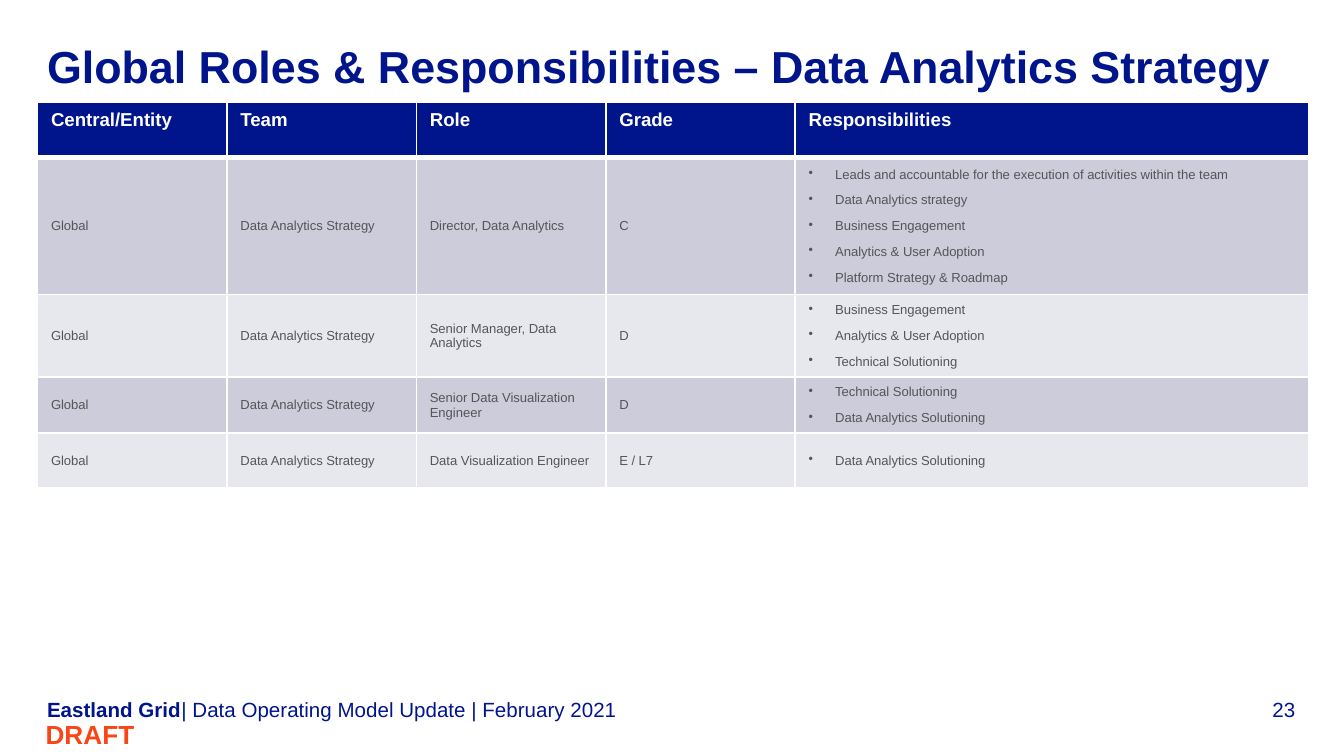
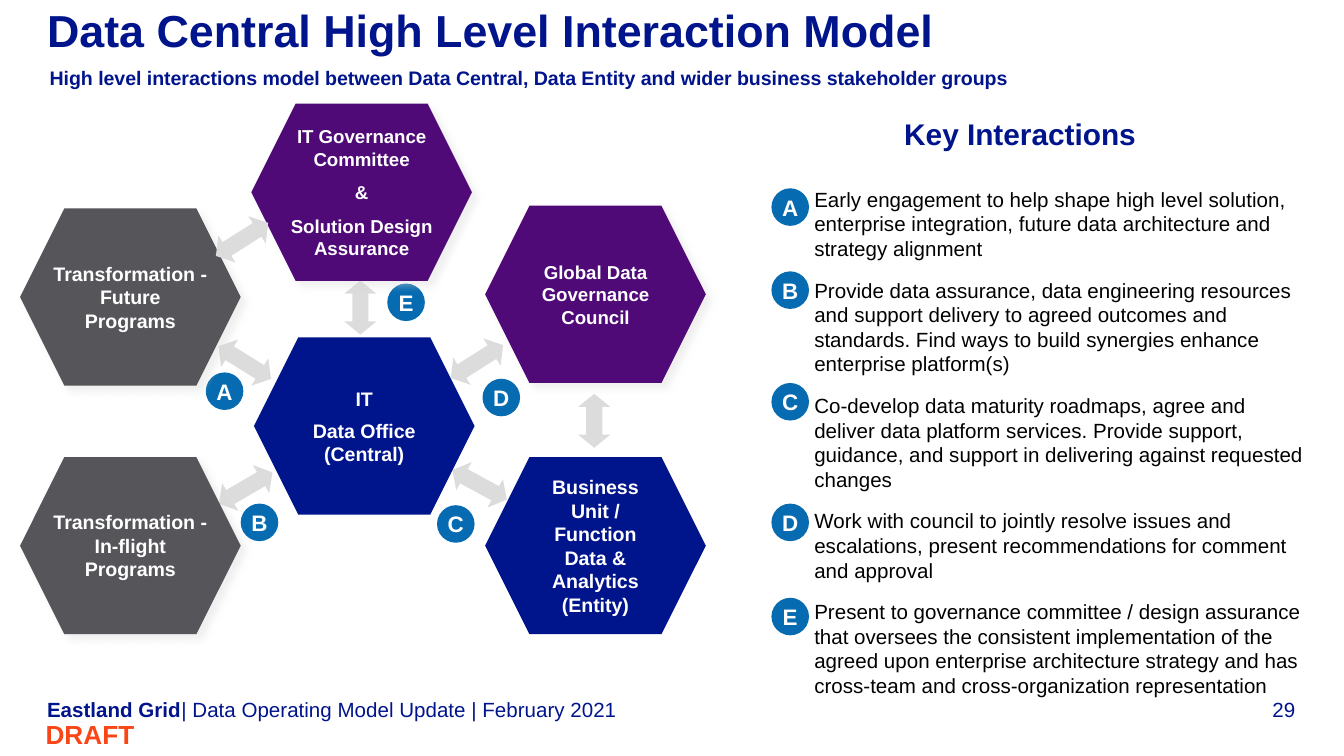
from lxml.etree import SubElement
from pptx import Presentation
from pptx.dml.color import RGBColor
from pptx.enum.shapes import MSO_SHAPE as Preset
from pptx.enum.text import MSO_ANCHOR as Anchor, PP_ALIGN as Align
from pptx.oxml.ns import qn
from pptx.util import Cm, Pt

COLOURS = {
    "navy": "00148C", "purple": "500A78", "grey": "55555A", "badge": "066BB0",
    "arrow": "DCDCDC", "draft": "FA4616", "band_dark": "CCCCDA",
    "band_light": "E7E7EE", "white": "FFFFFF", "black": "000000", "shadow": "D9D9D9",
}
FONT = "Arial"
INSETS = (0.25, 0.13, 0.25, 0.13)
NO_INSETS = (0, 0, 0, 0)

COMPANY = "Eastland Grid"
FOOTER = "| Data Operating Model Update | February 2021"
DRAFT = "DRAFT"

ROLES_TITLE = "Global Roles & Responsibilities – Data Analytics Strategy"
ROLES_HEADER = ["Central/Entity", "Team", "Role", "Grade", "Responsibilities"]
TEAM = ("Global", "Data Analytics Strategy")
ROLES = [
    ("Director, Data Analytics", "C", [
        "Leads and accountable for the execution of activities within the team",
        "Data Analytics strategy", "Business Engagement",
        "Analytics & User Adoption", "Platform Strategy & Roadmap"]),
    ("Senior Manager, Data Analytics", "D", [
        "Business Engagement", "Analytics & User Adoption", "Technical Solutioning"]),
    ("Senior Data Visualization Engineer", "D", [
        "Technical Solutioning", "Data Analytics Solutioning"]),
    ("Data Visualization Engineer", "E / L7", ["Data Analytics Solutioning"]),
]
ROLE_COLUMNS = [3.58, 3.58, 3.58, 3.58, 9.7]
ROLE_ROW = 1.04

MODEL_TITLE = "Data Central High Level Interaction Model"
MODEL_SUBTITLE = ("High level interactions model between Data Central, Data Entity "
                  "and wider business stakeholder groups")
KEY_HEADING = "Key Interactions"
INTERACTIONS = [
    ("A", 3.56, "Early engagement to help shape high level solution, enterprise "
     "integration, future data architecture and strategy alignment"),
    ("B", 5.13, "Provide data assurance, data engineering resources and support delivery "
     "to agreed outcomes and standards. Find ways to build synergies enhance "
     "enterprise platform(s)"),
    ("C", 7.24, "Co-develop data maturity roadmaps, agree and deliver data platform "
     "services. Provide support, guidance, and support in delivering against "
     "requested changes"),
    ("D", 9.52, "Work with council to jointly resolve issues and escalations, present "
     "recommendations for comment and approval"),
    ("E", 11.3, "Present to governance committee / design assurance that oversees the "
     "consistent implementation of the agreed upon enterprise architecture strategy "
     "and has cross-team and cross-organization representation"),
]
KEY_BADGE_LEFT = 14.58
MODEL_BADGES = [("A", 3.89, 7.04), ("B", 4.55, 9.52), ("C", 8.26, 9.55),
                ("D", 9.12, 7.16), ("E", 7.32, 5.36)]
BADGE = 0.71

GROUPS = [
    (4.8, 6.38, "navy", 10.5, ["IT", "Data Office (Central)"]),
    (9.17, 8.64, "navy", 10.5, ["Business Unit / Function Data & Analytics (Entity)"]),
    (0.38, 8.64, "grey", 10.5, ["Transformation - In-flight Programs"]),
    (0.38, 3.94, "grey", 10.5, ["Transformation - Future Programs"]),
    (4.75, 1.96, "purple", 10, ["IT Governance Committee", "&",
                                "Solution Design Assurance"]),
    (9.17, 3.89, "purple", 10, ["Global Data Governance Council"]),
]
GROUP_SIZE = (4.17, 3.35)

LONG, SHORT, ARROW_HEIGHT = 1.17, 1.02, 0.61
ARROWS_BEHIND = [(8.48, 8.86, LONG, 28.6), (6.3, 5.51, SHORT, 90),
                 (4.04, 6.55, LONG, 31.9), (4.06, 8.92, LONG, 329.7)]
ARROWS_FRONT = [(10.72, 7.65, SHORT, 90), (8.43, 6.53, LONG, 327.6),
                (3.99, 4.22, LONG, 327.6)]


def colour(name):
    return RGBColor.from_string(COLOURS[name])


def write(frame, paragraphs, size, ink="navy", bold=False, align=None, after=0, before=0):
    for index, text in enumerate(paragraphs):
        paragraph = frame.paragraphs[0] if index == 0 else frame.add_paragraph()
        paragraph.alignment = align
        paragraph.space_after = Pt(after)
        if index and before:
            paragraph.space_before = Pt(before)
        run = paragraph.add_run()
        run.text = text
        run.font.name, run.font.size, run.font.bold = FONT, Pt(size), bold
        run.font.color.rgb = colour(ink)


def set_frame(frame, insets, anchor, wrap=True):
    frame.word_wrap = wrap
    frame.vertical_anchor = anchor
    (frame.margin_left, frame.margin_top,
     frame.margin_right, frame.margin_bottom) = map(Cm, insets)


def add_text(slide, box, paragraphs, size, insets=NO_INSETS, anchor=Anchor.TOP, **style):
    frame = slide.shapes.add_textbox(*map(Cm, box)).text_frame
    set_frame(frame, insets, anchor)
    write(frame, paragraphs, size, **style)


def add_preset(slide, preset, box, fill):
    shape = slide.shapes.add_shape(preset, *map(Cm, box))
    shape.shadow.inherit = False
    shape.fill.solid()
    shape.fill.fore_color.rgb = colour(fill)
    shape.line.fill.background()
    return shape


def add_badge(slide, letter, left, top):
    frame = add_preset(slide, Preset.OVAL, (left, top, BADGE, BADGE), "badge").text_frame
    set_frame(frame, NO_INSETS, Anchor.MIDDLE, wrap=False)
    write(frame, [letter], 12, "white", True, Align.CENTER)


def add_arrows(slide, arrows):
    for left, top, length, angle in arrows:
        arrow = add_preset(slide, Preset.LEFT_RIGHT_ARROW,
                           (left, top, length, ARROW_HEIGHT), "arrow")
        arrow.adjustments[0], arrow.adjustments[1] = 0.5, 0.407
        arrow.rotation = angle


def cast_shadow(shape):
    effects = shape._element.spPr.find(qn("a:effectLst"))
    shadow = SubElement(effects, qn("a:outerShdw"), blurRad=str(Pt(4)), dist=str(Pt(4)),
                        dir=str(45 * 60000), algn="tl", rotWithShape="0")
    tint = SubElement(shadow, qn("a:srgbClr"), val=COLOURS["shadow"])
    SubElement(tint, qn("a:alpha"), val="40000")


def add_group(slide, left, top, fill, size, paragraphs):
    hexagon = add_preset(slide, Preset.HEXAGON, (left, top, *GROUP_SIZE), fill)
    central = fill == "navy"
    if not central:
        cast_shadow(hexagon)
    set_frame(hexagon.text_frame, INSETS if central else NO_INSETS, Anchor.MIDDLE)
    write(hexagon.text_frame, paragraphs, size, "white", True, Align.CENTER,
          after=4.5 if central else 6)


def add_bullets(frame):
    for paragraph in frame.paragraphs:
        paragraph.level = 2
        properties = paragraph._p.get_or_add_pPr()
        properties.set("marL", str(Cm(0.5)))
        properties.set("indent", str(-Cm(0.5)))
        tint = SubElement(properties, qn("a:buClr"))
        SubElement(tint, qn("a:srgbClr"), val=COLOURS["grey"])
        SubElement(properties, qn("a:buChar"), char="•")


def set_borders(cell, top, bottom):
    properties = cell._tc.get_or_add_tcPr()
    sides = [("lnL", 1), ("lnR", 1), ("lnT", top), ("lnB", bottom)]
    for index, (side, width) in enumerate(sides):
        line = SubElement(properties, qn(f"a:{side}"), w=str(Pt(width)))
        fill = SubElement(line, qn("a:solidFill"))
        SubElement(fill, qn("a:srgbClr"), val=COLOURS["white"])
        properties.insert(index, line)


def add_roles(slide):
    rows = [ROLES_HEADER] + [[*TEAM, *role] for role in ROLES]
    table = slide.shapes.add_table(
        len(rows), len(ROLE_COLUMNS), Cm(0.71), Cm(1.94),
        Cm(sum(ROLE_COLUMNS)), Cm(ROLE_ROW * len(rows))).table
    for column, width in zip(table.columns, ROLE_COLUMNS):
        column.width = Cm(width)
    for r, row in enumerate(rows):
        table.rows[r].height = Cm(ROLE_ROW)
        header = r == 0
        band = "navy" if header else "band_dark" if r % 2 else "band_light"
        for c, content in enumerate(row):
            cell = table.cell(r, c)
            cell.fill.solid()
            cell.fill.fore_color.rgb = colour(band)
            cell.vertical_anchor = Anchor.TOP if header else Anchor.MIDDLE
            set_borders(cell, 3 if r == 1 else 1, 3 if header else 1)
            listed = isinstance(content, list)
            write(cell.text_frame, content if listed else [content], 10 if header else 7,
                  "white" if header else "grey", header, after=6)
            if listed:
                add_bullets(cell.text_frame)


def add_model(slide):
    add_text(slide, (0.94, 1.24, 22.45, 0.53), [MODEL_SUBTITLE], 10.5,
             bold=True, align=Align.JUSTIFY)
    add_text(slide, (13.16, 2.06, 12.24, 0.94), [KEY_HEADING], 16, INSETS,
             bold=True, align=Align.CENTER, after=6)
    add_text(slide, (15.06, 3.33, 9.65, 6.3), [text for _, _, text in INTERACTIONS], 11,
             (0.33, 0.2, 0, 0.2), ink="black", before=9)
    for letter, top, _ in INTERACTIONS:
        add_badge(slide, letter, KEY_BADGE_LEFT, top)
    for badge in MODEL_BADGES:
        add_badge(slide, *badge)
    add_arrows(slide, ARROWS_BEHIND)
    for group in GROUPS:
        add_group(slide, *group)
    add_arrows(slide, ARROWS_FRONT)


def add_page(deck, title, title_top, number):
    slide = deck.slides.add_slide(deck.slide_layouts[6])
    add_text(slide, (0.89, title_top, 23.6, 1.19), [title], 24, bold=True)
    for left, width, text, bold, align in [
            (0.89, 2.54, COMPANY, True, Align.LEFT),
            (3.43, 19.5, FOOTER, False, Align.LEFT),
            (23.01, 1.47, number, False, Align.RIGHT)]:
        add_text(slide, (left, 13.16, width, 0.48), [text], 11,
                 anchor=Anchor.BOTTOM, bold=bold, align=align)
    add_text(slide, (0.05, 13.46, 2.74, 0.83), [DRAFT], 14, INSETS, Anchor.MIDDLE,
             ink="draft", bold=True, align=Align.RIGHT, after=4.5)
    return slide


def main():
    deck = Presentation()
    deck.slide_width, deck.slide_height = Cm(25.4), Cm(14.29)
    add_roles(add_page(deck, ROLES_TITLE, 0.74, "23"))
    add_model(add_page(deck, MODEL_TITLE, 0.05, "29"))
    deck.save("out.pptx")


if __name__ == "__main__":
    main()
